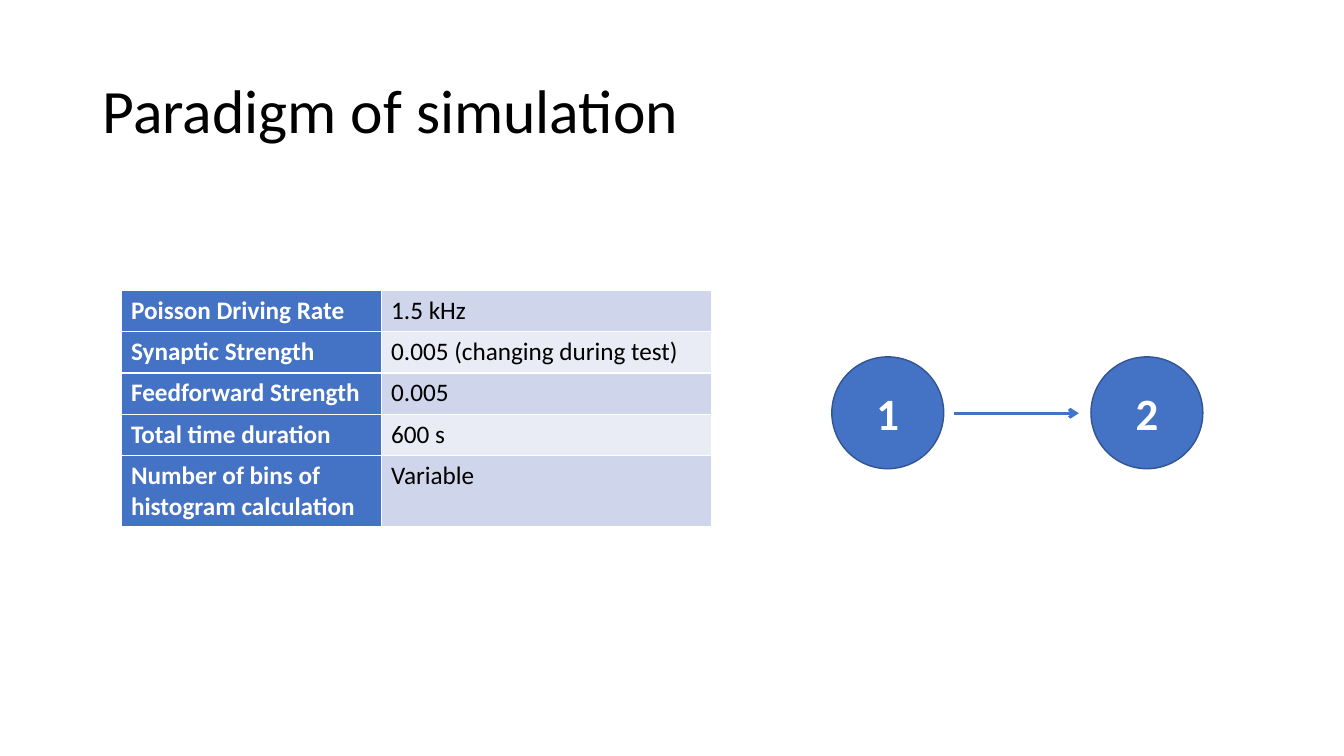
"""Build the slide that shows the simulation parameters and a two-node network."""
from lxml.etree import SubElement
from pptx import Presentation
from pptx.dml.color import RGBColor
from pptx.enum.shapes import MSO_CONNECTOR as Connector, MSO_SHAPE as Shape
from pptx.enum.text import MSO_ANCHOR as Anchor, PP_ALIGN as Align
from pptx.oxml.ns import qn
from pptx.util import Inches, Pt

BLACK = RGBColor(0x00, 0x00, 0x00)
WHITE = RGBColor(0xFF, 0xFF, 0xFF)
BLUE = RGBColor(0x44, 0x72, 0xC4)
DARK_BLUE = RGBColor(0x32, 0x54, 0x91)
BANDS = [RGBColor(0xCF, 0xD5, 0xEA), RGBColor(0xE9, 0xEB, 0xF5)]

PARAMETERS = [
    ("Poisson Driving Rate", "1.5 kHz"),
    ("Synaptic Strength", "0.005 (changing during test)"),
    ("Feedforward Strength", "0.005"),
    ("Total time duration", "600 s"),
    ("Number of bins of histogram calculation", "Variable"),
]
ROW_HEIGHTS = [0.41, 0.41, 0.41, 0.41, 0.7]


def write_text(text_frame, text, size, color, bold=False):
    text_frame.text = text
    font = text_frame.paragraphs[0].runs[0].font
    font.name = "Calibri"
    font.size = Pt(size)
    font.bold = bold
    font.color.rgb = color


def add_borders(cell):
    properties = cell._tc.get_or_add_tcPr()
    for side in ("lnL", "lnR", "lnT", "lnB"):
        border = SubElement(properties, qn(f"a:{side}"), w=str(Pt(1)))
        fill = SubElement(border, qn("a:solidFill"))
        SubElement(fill, qn("a:srgbClr"), val=str(WHITE))


presentation = Presentation()
presentation.slide_width = Inches(13.33)
presentation.slide_height = Inches(7.5)
slide = presentation.slides.add_slide(presentation.slide_layouts[6])

title = slide.shapes.add_textbox(Inches(0.92), Inches(0.4), Inches(11.5), Inches(1.45))
title.text_frame.word_wrap = True
title.text_frame.vertical_anchor = Anchor.MIDDLE
write_text(title.text_frame, "Paradigm of simulation", 44, BLACK)
title.text_frame.paragraphs[0].line_spacing = 0.9

table = slide.shapes.add_table(
    len(PARAMETERS), 2, Inches(1.2), Inches(2.88), Inches(5.86), Inches(sum(ROW_HEIGHTS))
).table
table.first_row = False
table.first_col = True
table.columns[0].width = Inches(2.58)
table.columns[1].width = Inches(3.28)
for index, (name, value) in enumerate(PARAMETERS):
    table.rows[index].height = Inches(ROW_HEIGHTS[index])
    name_cell, value_cell = table.cell(index, 0), table.cell(index, 1)
    write_text(name_cell.text_frame, name, 18, WHITE, bold=True)
    write_text(value_cell.text_frame, value, 18, BLACK)
    for cell, color in ((name_cell, BLUE), (value_cell, BANDS[index % 2])):
        add_borders(cell)
        cell.fill.solid()
        cell.fill.fore_color.rgb = color

for label, left in (("1", 8.25), ("2", 10.82)):
    node = slide.shapes.add_shape(
        Shape.OVAL, Inches(left), Inches(3.54), Inches(1.11), Inches(1.11)
    )
    node.shadow.inherit = False
    node.fill.solid()
    node.fill.fore_color.rgb = BLUE
    node.line.color.rgb = DARK_BLUE
    node.line.width = Pt(1)
    node.text_frame.vertical_anchor = Anchor.MIDDLE
    write_text(node.text_frame, label, 32, WHITE, bold=True)
    node.text_frame.paragraphs[0].alignment = Align.CENTER

arrow = slide.shapes.add_connector(
    Connector.STRAIGHT, Inches(9.46), Inches(4.1), Inches(10.7), Inches(4.1)
)
arrow.line.color.rgb = BLUE
arrow.line.width = Pt(2.25)
SubElement(arrow.line._get_or_add_ln(), qn("a:tailEnd"), type="arrow")
SubElement(arrow._element.spPr, qn("a:effectLst"))

presentation.save("out.pptx")
